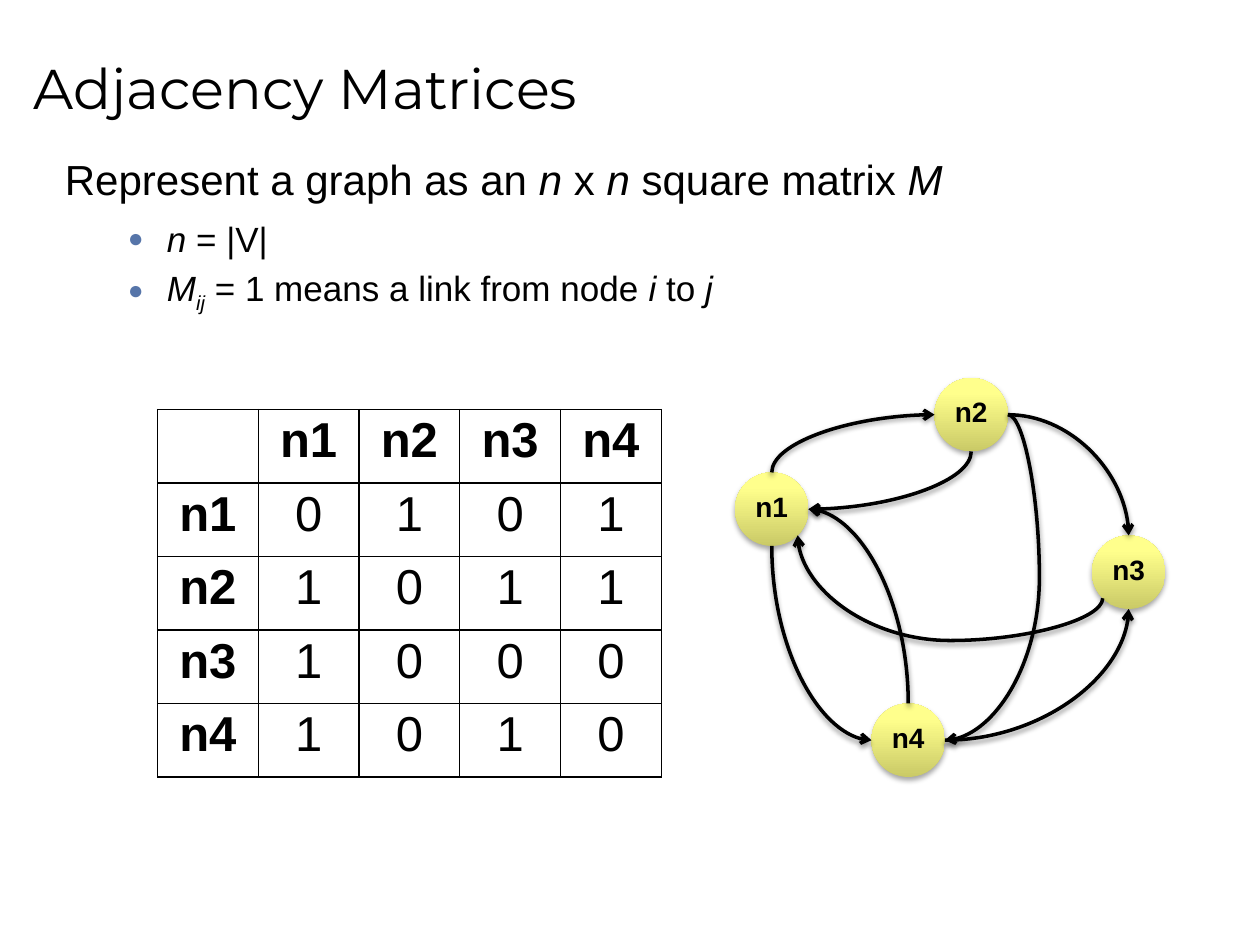
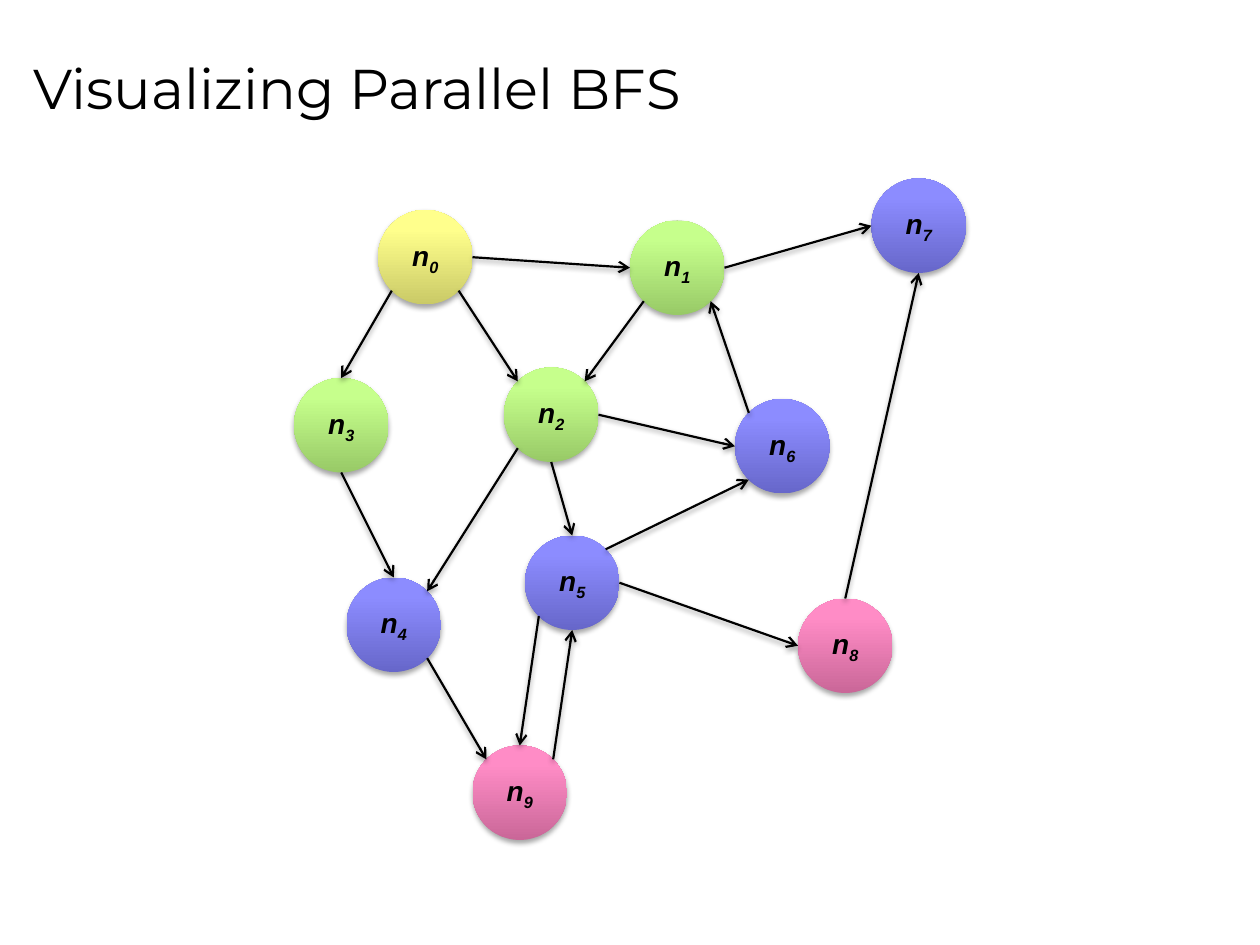
from math import cos, radians, sin

from lxml.etree import SubElement
from pptx import Presentation
from pptx.dml.color import RGBColor
from pptx.enum.shapes import MSO_CONNECTOR as Link, MSO_SHAPE as Shape
from pptx.enum.text import MSO_ANCHOR as Anchor, PP_ALIGN as Align
from pptx.oxml.ns import qn
from pptx.util import Inches, Pt

COLORS = {"ink": "000000", "bullet": "5675A9"}
GRADIENTS = {
    "yellow": ("CACA67", "FFFF8C", "FFFF8E"),
    "green": ("98CA67", "C6FF8C", "C7FF8E"),
    "blue": ("6767CA", "8C8CFF", "8E8EFF"),
    "pink": ("CA6798", "FF8CC6", "FF8EC7"),
}
STOPS = (0, 80, 100)
HEADING_FONT, BODY_FONT = "Montserrat", "Arial"
COLUMNS, ROWS = 120, 90
TITLE_BOX = (2, 1.5, 114, 13.5)
TOP, TOP_LEFT, LEFT, BOTTOM_LEFT, BOTTOM, BOTTOM_RIGHT, RIGHT, TOP_RIGHT = range(8)

MATRIX_NAMES = ("n1", "n2", "n3", "n4")
MATRIX = ((0, 1, 0, 1), (1, 0, 1, 1), (1, 0, 0, 0), (1, 0, 1, 0))
MATRIX_NODES = {"n1": (0, 9), "n2": (19, 0), "n3": (34, 15), "n4": (13, 31)}
MATRIX_LINKS = (
    ("n1", TOP, "n2", LEFT, 90, None),
    ("n1", BOTTOM, "n4", LEFT, 270, None),
    ("n2", BOTTOM, "n1", RIGHT, 90, None),
    ("n2", RIGHT, "n3", TOP, 0, None),
    ("n2", RIGHT, "n4", RIGHT, 0, -50),
    ("n3", BOTTOM_LEFT, "n1", BOTTOM_RIGHT, 90, -67.1),
    ("n4", TOP, "n1", RIGHT, 270, None),
    ("n4", RIGHT, "n3", BOTTOM, 0, None),
)
BFS_NODES = {
    0: (8, 3, "yellow"), 3: (0, 19, "green"), 2: (20, 18, "green"),
    1: (32, 4, "green"), 7: (55, 0, "blue"), 6: (42, 21, "blue"),
    5: (22, 34, "blue"), 4: (5, 38, "blue"), 9: (17, 54, "pink"),
    8: (48, 40, "pink"),
}
BFS_LINKS = (
    (0, BOTTOM_LEFT, 3, TOP), (0, BOTTOM_RIGHT, 2, TOP_LEFT),
    (0, RIGHT, 1, LEFT), (1, RIGHT, 7, LEFT), (8, TOP, 7, BOTTOM),
    (6, TOP_LEFT, 1, BOTTOM_RIGHT), (1, BOTTOM_LEFT, 2, TOP_RIGHT),
    (2, RIGHT, 6, LEFT), (3, BOTTOM, 4, TOP), (2, BOTTOM_LEFT, 4, TOP_RIGHT),
    (2, BOTTOM, 5, TOP), (5, TOP_RIGHT, 6, BOTTOM_LEFT),
    (4, BOTTOM_RIGHT, 9, TOP_LEFT), (5, BOTTOM_LEFT, 9, TOP),
    (9, TOP_RIGHT, 5, BOTTOM), (5, RIGHT, 8, LEFT),
)


def grid(*cells):
    return [Inches(cell / 12) for cell in cells]


def add_xml(parent, tag, **attributes):
    return SubElement(parent, qn(tag), {k: str(v) for k, v in attributes.items()})


def add_color(parent, color):
    return add_xml(parent, "a:srgbClr", val=color)


def style(font, size, name=BODY_FONT, bold=False, italic=False):
    font.size, font.name, font.bold, font.italic = Pt(size), name, bold, italic
    font.color.rgb = RGBColor.from_string(COLORS["ink"])


def add_run(paragraph, text, italic=None, subscript=False):
    run = paragraph.add_run()
    run.text = text
    run.font.italic = italic
    if subscript:
        run.font._element.set("baseline", "-25000")


def add_shadow(properties, distance, opacity):
    effects = properties.find(qn("a:effectLst"))
    if effects is None:
        effects = add_xml(properties, "a:effectLst")
    shadow = add_xml(effects, "a:outerShdw", blurRad=Pt(3.1), dist=Pt(distance),
                     dir=90 * 60000, rotWithShape=0)
    add_xml(add_color(shadow, COLORS["ink"]), "a:alpha", val=opacity * 1000)


def add_title(slide, box, text):
    frame = slide.shapes.add_textbox(*grid(*box)).text_frame
    frame.word_wrap = True
    frame.vertical_anchor = Anchor.MIDDLE
    heading = frame.paragraphs[0]
    heading.text = text
    style(heading.font, 32, HEADING_FONT)


def format_point(paragraph, size, margin, hanging, spacing, bullet=False):
    style(paragraph.font, size)
    properties = paragraph._p.get_or_add_pPr()
    properties.set("marL", str(Inches(margin)))
    properties.set("indent", str(-Inches(hanging)))
    settings = [("a:spcBef", "a:spcPct", spacing), ("a:spcAft", "a:spcPct", spacing)]
    for position, (tag, unit, percent) in enumerate(settings):
        space = add_xml(properties, tag)
        add_xml(space, unit, val=percent * 1000)
        properties.insert(position, space)
    if bullet:
        font_defaults = properties.find(qn("a:defRPr"))
        add_color(add_xml(properties, "a:buClr"), COLORS["bullet"])
        add_xml(properties, "a:buSzPct", val=75000)
        add_xml(properties, "a:buFont", typeface=BODY_FONT)
        add_xml(properties, "a:buChar", char="●")
        properties.append(font_defaults)


def add_definition(slide, box):
    frame = slide.shapes.add_textbox(*grid(*box)).text_frame
    frame.word_wrap = True
    statement = frame.paragraphs[0]
    format_point(statement, 24, 0.37, 0.37, 25)
    for text, italic in (("Represent a graph as an ", False), ("n", True), (" x ", False),
                         ("n", True), (" square matrix ", False), ("M", True)):
        add_run(statement, text, italic)
    details = (
        (("n", True), (" = |V|", False)),
        (("M", True), ("ij", True, True), (" = 1 means a link from node ", False),
         ("i", True), (" to ", False), ("j", True)),
    )
    for pieces in details:
        detail = frame.add_paragraph()
        detail.level = 1
        format_point(detail, 20, 0.81, 0.31, 10, bullet=True)
        for piece in pieces:
            add_run(detail, *piece)
    for paragraph in frame.paragraphs:
        for run in paragraph.runs:
            style(run.font, paragraph.font.size.pt, italic=run.font.italic)


def format_cell(cell, text, bold):
    cell.fill.background()
    cell.vertical_anchor = Anchor.MIDDLE
    entry = cell.text_frame.paragraphs[0]
    entry.text = text
    entry.alignment = Align.CENTER
    entry.line_spacing = 0.71
    entry.space_before = Pt(8)
    style(entry.font, 28, bold=bold)
    properties = cell._tc.get_or_add_tcPr()
    for position, side in enumerate(("a:lnL", "a:lnR", "a:lnT", "a:lnB")):
        border = add_xml(properties, side, w=Pt(1))
        add_color(add_xml(border, "a:solidFill"), COLORS["ink"])
        properties.insert(position, border)


def add_matrix(slide, box):
    rows = [("",) + MATRIX_NAMES]
    rows += [(name, *values) for name, values in zip(MATRIX_NAMES, MATRIX)]
    size = len(rows)
    matrix = slide.shapes.add_table(size, size, *grid(*box)).table
    matrix.first_row = matrix.horz_banding = False
    for column in matrix.columns:
        column.width = grid(box[2] / size)[0]
    for row, values in enumerate(rows):
        matrix.rows[row].height = grid(box[3] / size)[0]
        for column, value in enumerate(values):
            format_cell(matrix.cell(row, column), str(value), row == 0 or column == 0)


def add_node(slide, left, top, size, color):
    node = slide.shapes.add_shape(Shape.OVAL, *grid(left, top, size, size))
    node.fill.gradient()
    node.fill.gradient_angle = 90
    stops = node._element.spPr.find(qn("a:gradFill")).find(qn("a:gsLst"))
    for stop in list(stops):
        stops.remove(stop)
    for position, shade in zip(STOPS, GRADIENTS[color]):
        add_color(add_xml(stops, "a:gs", pos=position * 1000), shade)
    node.line.fill.background()
    node.shadow.inherit = False
    add_shadow(node._element.spPr, 1.8, 35)
    label = node.text_frame.paragraphs[0]
    label.alignment = Align.CENTER
    return node, label


def site_point(node, site):
    angle = radians(90 + 45 * site)
    return (round(node.left + node.width * (1 + cos(angle)) / 2),
            round(node.top + node.height * (1 - sin(angle)) / 2))


def add_arrow(slide, kind, source, start, target, end, width):
    arrow = slide.shapes.add_connector(
        kind, *site_point(source, start), *site_point(target, end))
    arrow.line.color.rgb = RGBColor.from_string(COLORS["ink"])
    arrow.line.width = Pt(width)
    add_xml(arrow.line._get_or_add_ln(), "a:tailEnd", type="arrow")
    add_shadow(arrow._element.spPr, 1.6, 38)
    joints = arrow._element.nvCxnSpPr.cNvCxnSpPr
    add_xml(joints, "a:stCxn", id=source.shape_id, idx=start)
    add_xml(joints, "a:endCxn", id=target.shape_id, idx=end)
    return arrow


def bend(arrow, turn, bulge):
    geometry = arrow._element.spPr.find(qn("a:prstGeom"))
    if bulge is None:
        geometry.set("prst", "curvedConnector2")
    else:
        add_xml(geometry.find(qn("a:avLst")), "a:gd", name="adj1",
                fmla=f"val {round(bulge * 1000)}")
    if not turn:
        return
    across, down = arrow.end_x - arrow.begin_x, arrow.end_y - arrow.begin_y
    middle_x = (arrow.begin_x + arrow.end_x) // 2
    middle_y = (arrow.begin_y + arrow.end_y) // 2
    arrow.width, arrow.height = abs(down), abs(across)
    arrow.left, arrow.top = middle_x - abs(down) // 2, middle_y - abs(across) // 2
    frame = arrow._element.spPr.find(qn("a:xfrm"))
    frame.rot = turn
    frame.flipH = down < 0 if turn == 90 else down > 0
    frame.flipV = across > 0 if turn == 90 else across < 0


def add_matrix_graph(slide, box):
    nodes = {}
    for name, (column, row) in MATRIX_NODES.items():
        node, label = add_node(slide, box[0] + column, box[1] + row, 7, "yellow")
        node.text_frame.margin_left = node.text_frame.margin_right = 0
        node.text_frame.vertical_anchor = Anchor.TOP
        label.text = name
        style(label.font, 16, bold=True)
        nodes[name] = node
    for source, start, target, end, turn, bulge in MATRIX_LINKS:
        arrow = add_arrow(slide, Link.CURVE, nodes[source], start, nodes[target], end, 2)
        bend(arrow, turn, bulge)


def add_bfs_graph(slide, box):
    nodes = {}
    for number, (column, row, color) in BFS_NODES.items():
        node, label = add_node(slide, box[0] + column, box[1] + row, 9, color)
        node.text_frame.word_wrap = False
        node.text_frame.vertical_anchor = Anchor.MIDDLE
        style(label.font, 16, bold=True, italic=True)
        add_run(label, "n")
        add_run(label, str(number), subscript=True)
        for run in label.runs:
            style(run.font, 16, bold=True, italic=True)
        nodes[number] = node
    for source, start, target, end in BFS_LINKS:
        add_arrow(slide, Link.STRAIGHT, nodes[source], start, nodes[target], end, 1.25)


def add_slide(deck, title):
    slide = deck.slides.add_slide(deck.slide_layouts[6])
    add_title(slide, TITLE_BOX, title)
    return slide


def main():
    deck = Presentation()
    deck.slide_width, deck.slide_height = grid(COLUMNS, ROWS)
    matrices = add_slide(deck, "Adjacency Matrices")
    add_definition(matrices, (5, 14, 111, 67))
    add_matrix(matrices, (15, 39, 48, 35))
    add_matrix_graph(matrices, (70, 36))
    search = add_slide(deck, "Visualizing Parallel BFS")
    add_bfs_graph(search, (28, 17))
    deck.save("out.pptx")


if __name__ == "__main__":
    main()
